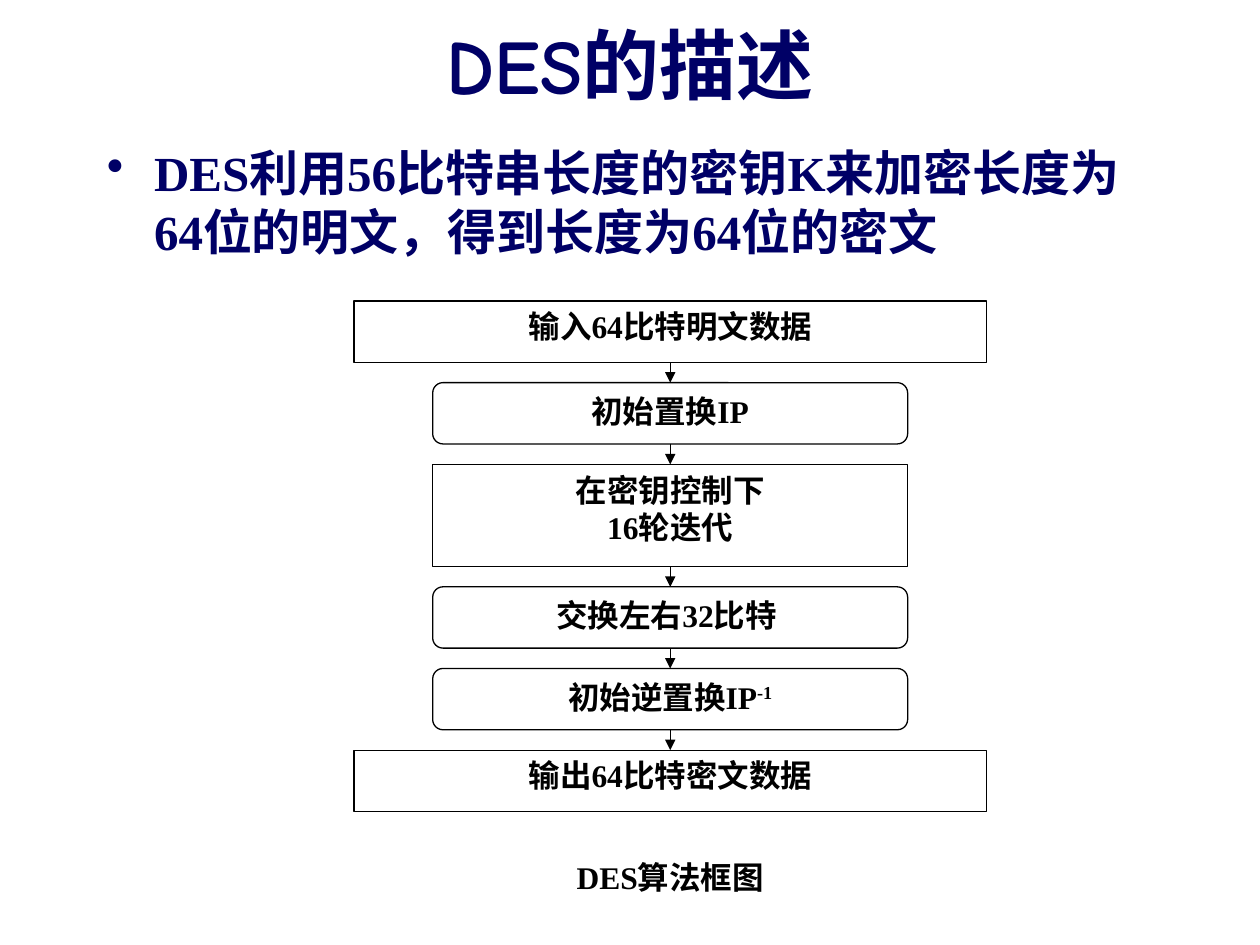
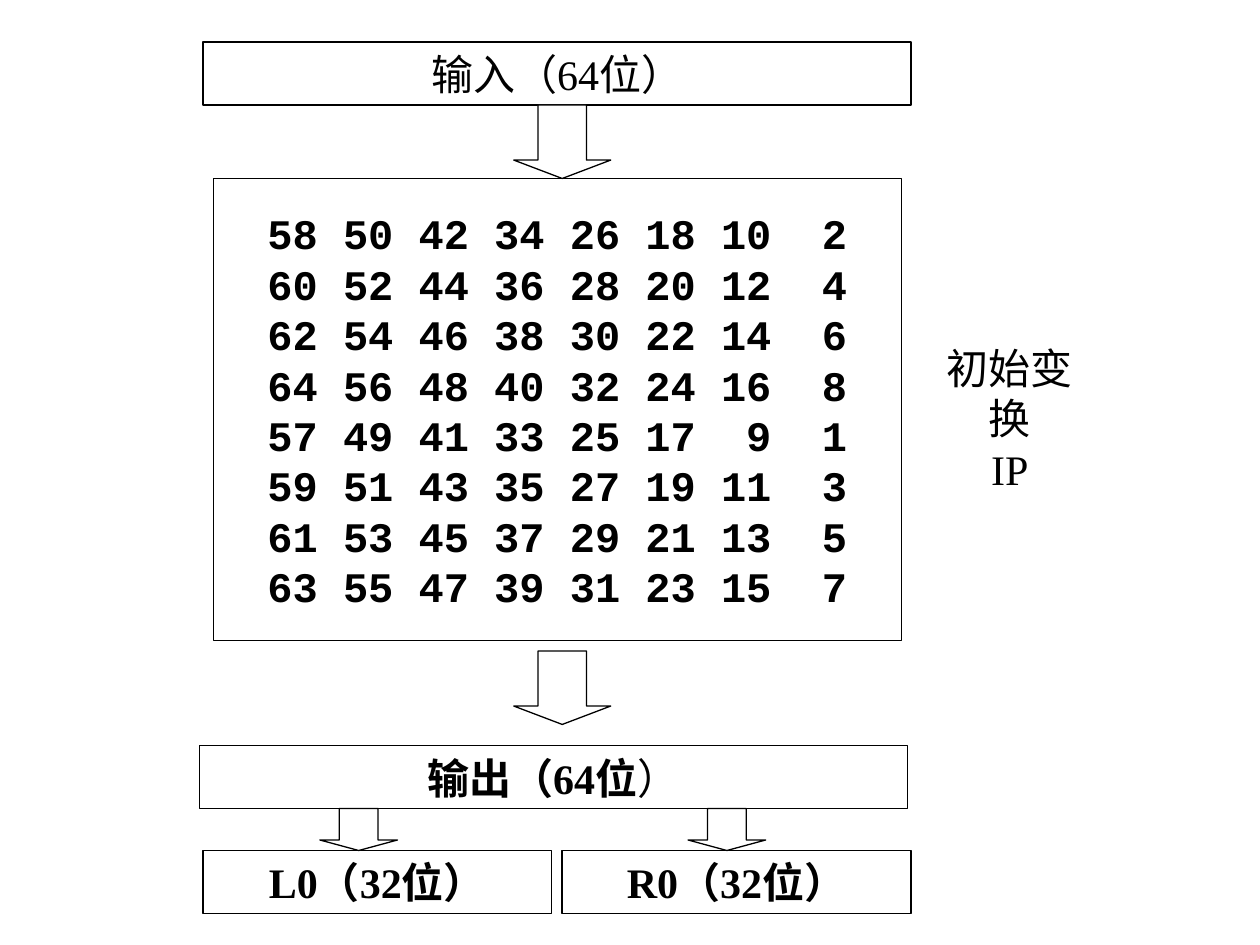
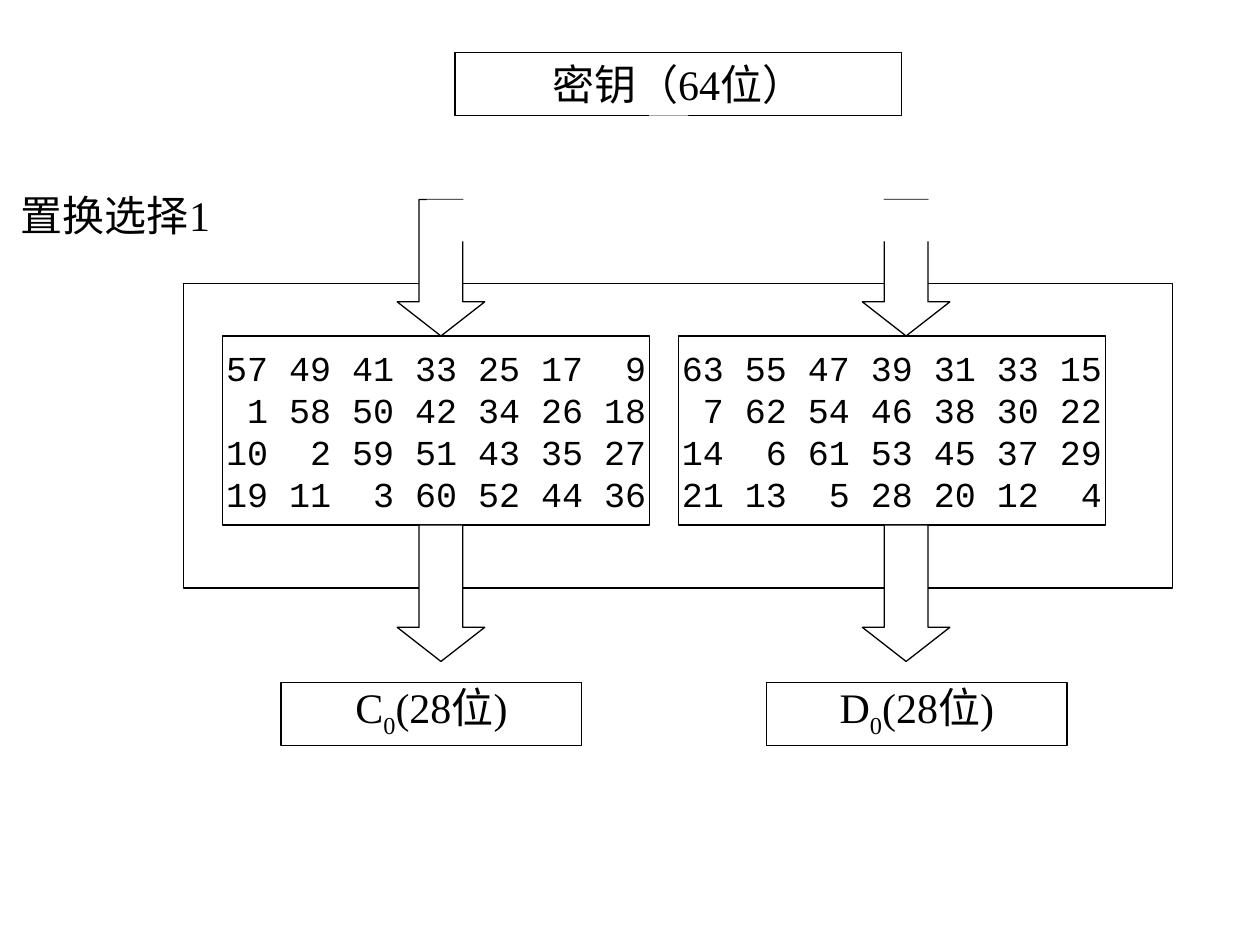
from dataclasses import dataclass
from itertools import pairwise

from lxml import etree
from pptx import Presentation
from pptx.dml.color import RGBColor
from pptx.enum.shapes import MSO_CONNECTOR, MSO_SHAPE
from pptx.enum.text import MSO_ANCHOR, PP_ALIGN
from pptx.oxml.ns import qn
from pptx.util import Pt

RECT = MSO_SHAPE.RECTANGLE
ROUNDED = MSO_SHAPE.ROUNDED_RECTANGLE
DOWN_ARROW = MSO_SHAPE.DOWN_ARROW
STRAIGHT = MSO_CONNECTOR.STRAIGHT
LEFT, CENTER = PP_ALIGN.LEFT, PP_ALIGN.CENTER
TOP, MIDDLE = MSO_ANCHOR.TOP, MSO_ANCHOR.MIDDLE


@dataclass(frozen=True)
class Theme:
    navy: RGBColor = RGBColor(0x00, 0x00, 0x66)
    black: RGBColor = RGBColor(0x00, 0x00, 0x00)
    white: RGBColor = RGBColor(0xFF, 0xFF, 0xFF)
    serif: str = "Times New Roman"
    mono: str = "Courier New"
    display: str = "Comic Neue"
    chinese: str = "Noto Sans CJK SC"
    title: int = 44
    body: int = 28
    label: int = 24
    grid: int = 20
    step: int = 18
    line: float = 0.75
    leading: float = 1.2
    mono_advance: float = 0.6
    insets: tuple = (7.2, 3.6, 7.2, 3.6)


THEME = Theme()

TITLE = [("DES", {"font": THEME.display}), ("的描述", {"font": THEME.chinese})]
SUMMARY = "DES利用56比特串长度的密钥K来加密长度为64位的明文，得到长度为64位的密文"
WIDE, NARROW = 361.4, 271.4
SHORT, TALL = 35, 58.33
STEPS = [
    (RECT, WIDE, SHORT, [[("输入64比特明文数据", {})]]),
    (ROUNDED, NARROW, SHORT, [[("初始置换IP", {})]]),
    (RECT, NARROW, TALL, [[("在密钥控制下", {})], [("16轮迭代", {})]]),
    (ROUNDED, NARROW, SHORT, [[("交换左右32比特 ", {})]]),
    (ROUNDED, NARROW, SHORT, [[("初始逆置换IP", {}), ("-1", {"baseline": 30})]]),
    (RECT, WIDE, SHORT, [[("输出64比特密文数据", {})]]),
]
CAPTION = "DES算法框图"

INITIAL_PERMUTATION = [
    (58, 50, 42, 34, 26, 18, 10, 2),
    (60, 52, 44, 36, 28, 20, 12, 4),
    (62, 54, 46, 38, 30, 22, 14, 6),
    (64, 56, 48, 40, 32, 24, 16, 8),
    (57, 49, 41, 33, 25, 17, 9, 1),
    (59, 51, 43, 35, 27, 19, 11, 3),
    (61, 53, 45, 37, 29, 21, 13, 5),
    (63, 55, 47, 39, 31, 23, 15, 7),
]
BLOCKS = [
    ((116, 24, 404.6, 36), [("输入（64位）", {})], False),
    ((113.8, 426.2, 404.6, 36), [("输出（64位", {}), ("）", {"bold": False})], True),
    ((116, 486, 199.4, 36), [("L0（32位）", {})], True),
    ((321.2, 486, 199.4, 36), [("R0（32位）", {})], True),
]
BLOCK_ARROWS = [
    (293.6, 60, 55.4, 42),
    (293.6, 372, 55.4, 42),
    (182.8, 462, 44.4, 24),
    (393.2, 462, 44.4, 24),
]

KEY = "密钥（64位）"
CHOICE = "置换选择1"
KEY_HALVES = [
    {
        "grid_left": 127.3,
        "arrow_left": 227,
        "output_left": 160.6,
        "output": "C",
        "rows": [
            (57, 49, 41, 33, 25, 17, 9),
            (1, 58, 50, 42, 34, 26, 18),
            (10, 2, 59, 51, 43, 35, 27),
            (19, 11, 3, 60, 52, 44, 36),
        ],
    },
    {
        "grid_left": 387.8,
        "arrow_left": 492.8,
        "output_left": 438,
        "output": "D",
        "rows": [
            (63, 55, 47, 39, 31, 33, 15),
            (7, 62, 54, 46, 38, 30, 22),
            (14, 6, 61, 53, 45, 37, 29),
            (21, 13, 5, 28, 20, 12, 4),
        ],
    },
]
KEY_COVERS = [(243.8, 114, 288, 24), (371, 66, 22.2, 48)]


def points(box):
    return [Pt(value) for value in box]


def add_child(parent, tag, **attributes):
    return etree.SubElement(parent, qn(tag), attributes)


def write(shape, paragraphs, size, font=THEME.serif, color=THEME.black, bold=False,
          align=CENTER, anchor=MIDDLE, wrap=False, insets=THEME.insets):
    frame = shape.text_frame
    frame.word_wrap = wrap
    frame.vertical_anchor = anchor
    (frame.margin_left, frame.margin_top,
     frame.margin_right, frame.margin_bottom) = points(insets)
    for index, runs in enumerate(paragraphs):
        paragraph = frame.paragraphs[0] if index == 0 else frame.add_paragraph()
        paragraph.alignment = align
        paragraph.line_spacing = Pt(size * THEME.leading)
        for text, style in runs:
            run = paragraph.add_run()
            run.text = text
            run.font.size = Pt(size)
            run.font.name = style.get("font", font)
            run.font.bold = style.get("bold", bold)
            run.font.color.rgb = color
            properties = run._r.get_or_add_rPr()
            add_child(properties, "a:ea", typeface=THEME.chinese)
            if "baseline" in style:
                properties.set("baseline", str(style["baseline"] * 1000))
    return frame


def add_text(slide, box, paragraphs, size, **style):
    return write(slide.shapes.add_textbox(*points(box)), paragraphs, size, **style)


def add_box(slide, box, preset=RECT, outlined=True):
    shape = slide.shapes.add_shape(preset, *points(box))
    shape.shadow.inherit = False
    shape.fill.solid()
    shape.fill.fore_color.rgb = THEME.white
    if outlined:
        shape.line.color.rgb = THEME.black
        shape.line.width = Pt(THEME.line)
    else:
        shape.line.fill.background()
    return shape


def add_down_arrow(slide, box, head=0.25):
    arrow = add_box(slide, box, DOWN_ARROW)
    arrow.adjustments[0] = 0.5
    arrow.adjustments[1] = head


def add_number_grid(slide, box, rows, size, bold=False):
    advance = size * THEME.mono_advance
    columns = len(rows[0])
    margin = (box[2] - (3 * columns - 1) * advance) / 2
    paragraphs = [[("".join(f"\t{number}" for number in row), {})] for row in rows]
    frame = write(add_box(slide, box), paragraphs, size, font=THEME.mono,
                  bold=bold, align=LEFT, wrap=True, insets=(0, 0, 0, 0))
    for paragraph in frame.paragraphs:
        stops = add_child(paragraph._p.get_or_add_pPr(), "a:tabLst")
        for column in range(columns):
            right_edge = margin + (3 * column + 2) * advance
            add_child(stops, "a:tab", pos=str(int(Pt(right_edge))), algn="r")


def join_steps(slide, upper, lower):
    link = slide.shapes.add_connector(STRAIGHT, 0, 0, 0, 0)
    link.begin_connect(upper, 2)
    link.end_connect(lower, 0)
    link.line.color.rgb = THEME.black
    link.line.width = Pt(THEME.line)
    add_child(link.line._get_or_add_ln(), "a:tailEnd", type="triangle")
    add_child(link._element.spPr, "a:effectLst")


def build_overview(slide):
    add_text(slide, (54, 18, 612, 90), [TITLE], THEME.title, color=THEME.navy,
             bold=True, wrap=True, insets=(7.2, 0, 7.2, THEME.title * THEME.leading))
    summary = add_text(slide, (54, 78, 612, 432), [[(SUMMARY, {})]], THEME.body,
                       color=THEME.navy, bold=True, align=LEFT, anchor=TOP, wrap=True)
    properties = summary.paragraphs[0]._p.get_or_add_pPr()
    properties.set("marL", str(int(Pt(27))))
    properties.set("indent", str(int(Pt(-27))))
    bullet_color = add_child(properties, "a:buClr")
    add_child(bullet_color, "a:srgbClr", val=str(THEME.navy))
    add_child(properties, "a:buChar", char="•")

    center, top, gap = 383, 172, 11.67
    steps = []
    for preset, width, height, paragraphs in STEPS:
        step = add_box(slide, (center - width / 2, top, width, height), preset)
        write(step, paragraphs, THEME.step, bold=True, anchor=TOP, wrap=True)
        steps.append(step)
        top += height + gap
    for upper, lower in pairwise(steps):
        join_steps(slide, upper, lower)
    add_text(slide, (center - WIDE / 2, 487, WIDE, SHORT), [[(CAPTION, {})]],
             THEME.step, bold=True, anchor=TOP, wrap=True)


def build_initial_permutation(slide):
    for box, runs, bold in BLOCKS:
        write(add_box(slide, box), [runs], THEME.label, bold=bold)
    add_number_grid(slide, (121.8, 102, 393.2, 264), INITIAL_PERMUTATION,
                    THEME.label, bold=True)
    for box in BLOCK_ARROWS:
        add_down_arrow(slide, box)
    add_text(slide, (522, 192, 110, 65), [[("初始变换", {})], [("IP", {})]],
             THEME.label, anchor=TOP)


def build_key_choice(slide):
    add_box(slide, (105, 162, 565, 174))
    for half in KEY_HALVES:
        add_number_grid(slide, (half["grid_left"], 192, 243.8, 108), half["rows"],
                        THEME.grid)
        for top in (114, 300):
            add_down_arrow(slide, (half["arrow_left"], top, 50, 78), 0.39)
        runs = [(half["output"], {}), ("0", {"baseline": -25}), ("(28位)", {})]
        write(add_box(slide, (half["output_left"], 390, 171.8, 36)), [runs], THEME.label)
    add_text(slide, (2, 105, 128, 36), [[(CHOICE, {})]], THEME.label, anchor=TOP)
    write(add_box(slide, (260, 30, 255, 36)), [[(KEY, {})]], THEME.label)
    for box in KEY_COVERS:
        add_box(slide, box, outlined=False)


def main():
    deck = Presentation()
    deck.slide_width, deck.slide_height = Pt(720), Pt(540)
    blank = deck.slide_layouts[6]
    for build in (build_overview, build_initial_permutation, build_key_choice):
        build(deck.slides.add_slide(blank))
    deck.save("out.pptx")


if __name__ == "__main__":
    main()
